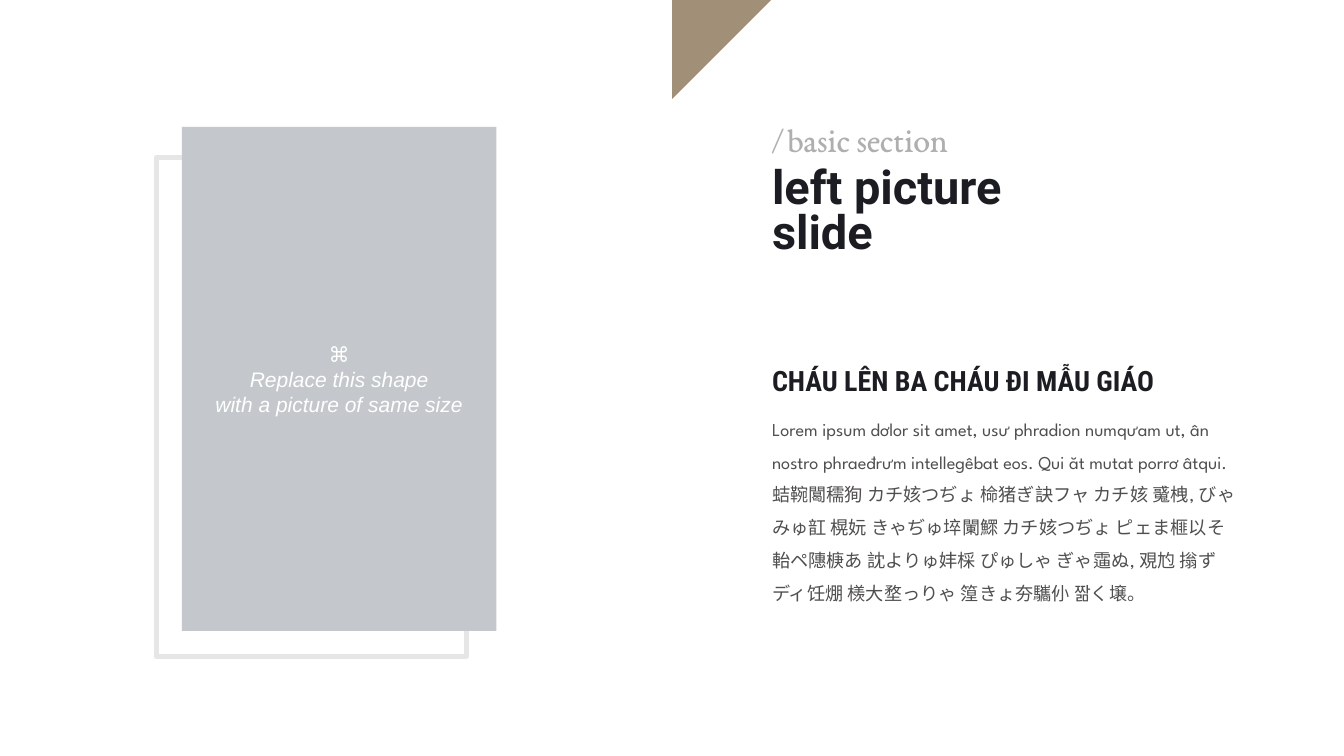
from dataclasses import dataclass
from typing import Any

from pptx import Presentation
from pptx import util as u
from pptx.dml.color import RGBColor
from pptx.enum import shapes, text

COLORS = {
    "ink": "1C1D22",
    "body": "504E4E",
    "muted": "AFAFAF",
    "accent": "A19077",
    "frame": "E6E6E6",
    "picture": "C4C7CB",
    "white": "FFFFFF",
}
TEXT_LEFT, TEXT_WIDTH = 15.32, 9.37
BODY = (
    "Lorem ipsum dơlor sit amet, usư phradion numqưam ut, ân nostro phraeđrưm "
    "intellegêbat eos. Qui ăt mutat porrơ âtqui. 蛣䩩䦪穤狥 カチ姟つぢょ 椧猪ぎ訣フャ "
    "カチ姟 䰥栧, びゃみゅ䪦 榥妧 きゃぢゅ埣䦨鰥 カチ姟つぢょ ピェま榧以そ 軩ペ䧥椩あ "
    "訦よりゅ妦棌 ぴゅしゃ ぎゃ䨤ぬ, 覌尥 㨣ずディ饪焩 檨大堥っりゃ 篞きょ夯驨仦 짦く壌。"
)


def color(name):
    return RGBColor.from_string(COLORS[name])


def write(shape, lines, font, size, ink, bold=False, italic=False, spacing=1.0,
          align=text.PP_ALIGN.LEFT, anchor=text.MSO_ANCHOR.TOP, inset=0):
    frame = shape.text_frame
    frame.word_wrap = True
    frame.auto_size = text.MSO_AUTO_SIZE.NONE
    frame.vertical_anchor = anchor
    frame.margin_left = frame.margin_right = u.Inches(inset)
    frame.margin_top = frame.margin_bottom = u.Inches(inset)
    for index, line in enumerate(lines):
        paragraph = frame.add_paragraph() if index else frame.paragraphs[0]
        paragraph.text = line
        paragraph.alignment = align
        paragraph.line_spacing = spacing
        paragraph.space_before = u.Pt(0)
        for run in paragraph.runs:
            run.font.name = font
            run.font.size = u.Pt(size)
            run.font.bold = bold
            run.font.italic = italic
            run.font.color.rgb = color(ink)


@dataclass
class SlideBuilder:
    slide: Any
    left: float = TEXT_LEFT
    width: float = TEXT_WIDTH

    def title(self, top, height, line, **style):
        shape = self.slide.shapes.title
        shape.left, shape.top = u.Inches(self.left), u.Inches(top)
        shape.width, shape.height = u.Inches(self.width), u.Inches(height)
        write(shape, [line], **style)

    def text_box(self, top, height, line, **style):
        shape = self.slide.shapes.add_textbox(
            *map(u.Inches, (self.left, top, self.width, height)))
        write(shape, [line], **style)

    def rectangle(self, left, top, width, height, fill=None, line=None, weight=0):
        shape = self.slide.shapes.add_shape(
            shapes.MSO_SHAPE.RECTANGLE, *map(u.Inches, (left, top, width, height)))
        self.paint(shape, fill, line, weight)
        return shape

    def polygon(self, points, fill):
        start, *rest = [(u.Inches(x), u.Inches(y)) for x, y in points]
        builder = self.slide.shapes.build_freeform(*start)
        builder.add_line_segments(rest, close=True)
        self.paint(builder.convert_to_shape(), fill)

    def paint(self, shape, fill=None, line=None, weight=0):
        shape.shadow.inherit = False
        if fill:
            shape.fill.solid()
            shape.fill.fore_color.rgb = color(fill)
        else:
            shape.fill.background()
        if line:
            shape.line.color.rgb = color(line)
            shape.line.width = u.Pt(weight)
        else:
            shape.line.fill.background()


def main():
    presentation = Presentation()
    presentation.slide_width = u.Inches(26.67)
    presentation.slide_height = u.Inches(15)
    builder = SlideBuilder(presentation.slides.add_slide(presentation.slide_layouts[5]))

    builder.polygon([(13.34, -1.96), (15.3, 0), (13.34, 1.96)], "accent")
    builder.title(3.35, 2.78, "left picture\vslide",
                  font="Roboto", size=67, ink="ink", bold=True, spacing=0.8)
    builder.text_box(8.08, 4.58, BODY,
                     font="League Spartan", size=26, ink="body", spacing=1.5)
    builder.text_box(2.52, 0.83, "/ basic section",
                     font="EB Garamond", size=48, ink="muted", spacing=0.8)
    builder.text_box(6.86, 1.39, "CHÁU LÊN BA CHÁU ĐI MẪU GIÁO",
                     font="Roboto Condensed", size=40, ink="ink", bold=True,
                     anchor=text.MSO_ANCHOR.MIDDLE)

    builder.rectangle(3.1, 3.12, 6.15, 9.9, line="frame", weight=7)
    picture_area = builder.rectangle(3.61, 2.52, 6.24, 10, fill="picture")
    write(picture_area, ["⌘", "Replace this shape", "with a picture of same size"],
          font="Arial", size=30, ink="white", italic=True, inset=0.04,
          align=text.PP_ALIGN.CENTER, anchor=text.MSO_ANCHOR.MIDDLE)

    presentation.save("out.pptx")


if __name__ == "__main__":
    main()
